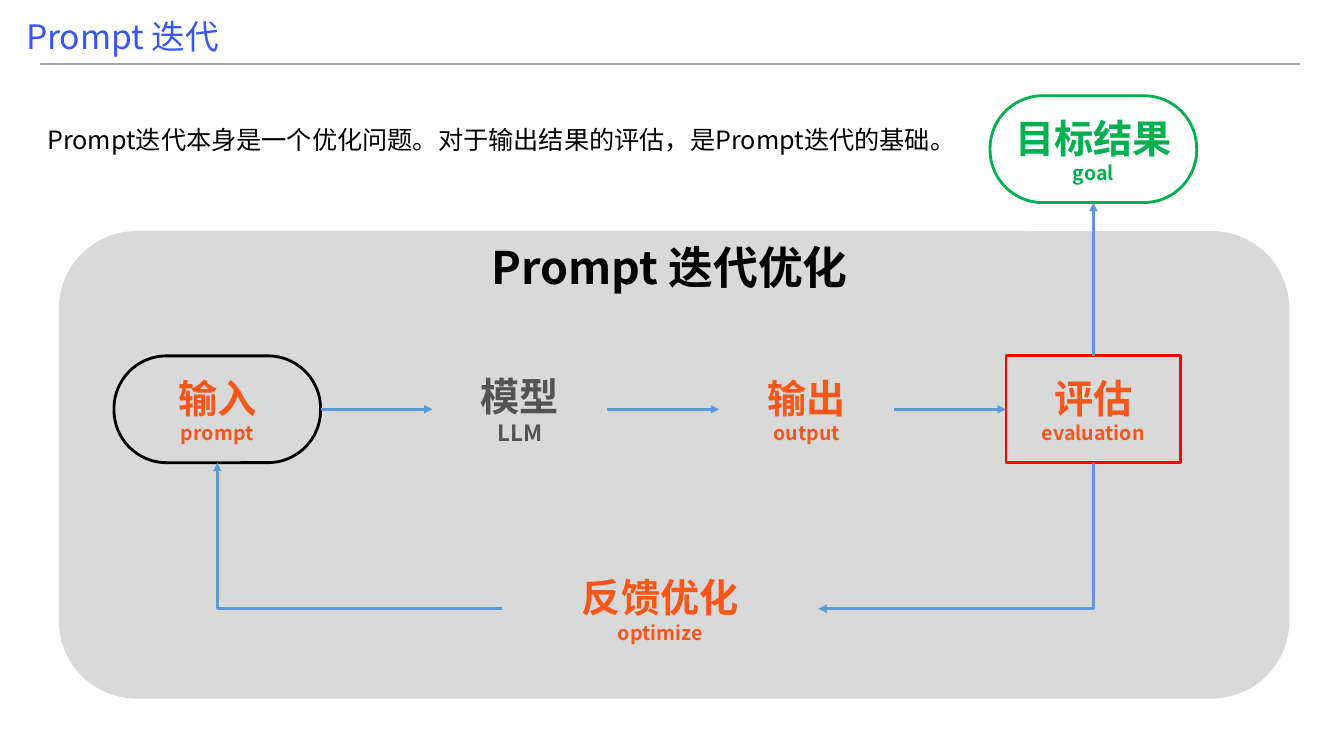
import pptx
import pptx.util
import pptx.dml.color
import pptx.enum.shapes
import pptx.enum.text
import pptx.oxml.ns
import lxml.etree

Pt = pptx.util.Pt
SHAPES = pptx.enum.shapes.MSO_SHAPE
CONNECTORS = pptx.enum.shapes.MSO_CONNECTOR
ALIGN = pptx.enum.text.PP_ALIGN
ANCHOR = pptx.enum.text.MSO_ANCHOR

THEME = {
    "font": "Noto Sans CJK SC",
    "title": "3856F5", "text": "000000", "accent": "F7571B", "model": "535353",
    "goal": "00B050", "alert": "FF0000", "arrow": "5B9BD5", "rule": "A6A6A6",
    "panel": "D9D9D9",
    "title_size": 24, "heading_size": 32, "body_size": 18,
    "label_size": 28, "caption_size": 14, "model_caption_size": 16,
    "rule_width": 1.5, "line_width": 2,
}

CAPTIONS = [
    ("Prompt 迭代", (11.5, 8, 650, 36), "title_size", "title", False),
    ("Prompt 迭代优化", (344, 167.8, 339, 46), "heading_size", "text", True),
    ("Prompt迭代本身是一个优化问题。对于输出结果的评估，是Prompt迭代的基础。",
     (26.6, 85, 870, 51), "body_size", "text", False),
]
STEPS = [
    ("输入", "prompt", "accent", "caption_size", 147.6, "pill", "text"),
    ("模型", "LLM", "model", "model_caption_size", 124.8, None, None),
    ("输出", "output", "accent", "caption_size", 124.8, None, None),
    ("评估", "evaluation", "accent", "caption_size", 124.8, "box", "alert"),
]
GOAL = ("目标结果", "goal", "goal", "caption_size", 147.6, "pill", "goal")
FEEDBACK = ("反馈优化", "optimize", "accent", "caption_size", 226, None, None)

SLIDE_SIZE = (960, 540)
RULE = (28.8, 45.6, 928.8, 45.6)
PANEL = (42, 165, 879, 334)
ROW_LEFT, ROW_TOP, STEP_GAP = 81.4, 254.2, 80
GOAL_TOP, FEEDBACK_LEFT, FEEDBACK_TOP = 68.4, 358.6, 396.7
STEP_HEIGHT = 76.3
PILL_ROUNDING = 0.493


def color(key):
    return pptx.dml.color.RGBColor.from_string(THEME[key])


def write(paragraph, wording, size, tone, bold):
    run = paragraph.add_run()
    run.text = wording
    style = {"name": THEME["font"], "size": Pt(THEME[size]), "bold": bold}
    for attribute, value in style.items():
        setattr(run.font, attribute, value)
    run.font.color.rgb = color(tone)
    east_asian = lxml.etree.SubElement(run.font._element, pptx.oxml.ns.qn("a:ea"))
    east_asian.set("typeface", THEME["font"])


def add_caption(slide, wording, frame, size, tone, bold):
    caption = slide.shapes.add_textbox(*map(Pt, frame))
    caption.text_frame.word_wrap = True
    write(caption.text_frame.paragraphs[0], wording, size, tone, bold)


def add_step(slide, step, left, top):
    label, caption, tone, caption_size, width, outline, edge = step
    frame = tuple(map(Pt, (left, top, width, STEP_HEIGHT)))
    if outline:
        preset = SHAPES.ROUNDED_RECTANGLE if outline == "pill" else SHAPES.RECTANGLE
        node = slide.shapes.add_shape(preset, *frame)
        node.shadow.inherit = False
        node.fill.background()
        node.line.color.rgb = color(edge)
        node.line.width = Pt(THEME["line_width"])
        if outline == "pill":
            node.adjustments[0] = PILL_ROUNDING
    else:
        node = slide.shapes.add_textbox(*frame)
    layout = {"word_wrap": True, "vertical_anchor": ANCHOR.MIDDLE}
    layout.update({f"margin_{side}": Pt(3.6) for side in ("left", "top", "right", "bottom")})
    for attribute, value in layout.items():
        setattr(node.text_frame, attribute, value)
    lines = [(label, "label_size"), (caption, caption_size)]
    for index, (wording, size) in enumerate(lines):
        paragraph = node.text_frame.add_paragraph() if index else node.text_frame.paragraphs[0]
        paragraph.alignment = ALIGN.CENTER
        write(paragraph, wording, size, tone, True)
    return node


def add_line(slide, kind, ends, tone, width, arrow):
    line = slide.shapes.add_connector(kind, *map(Pt, ends))
    line.line.color.rgb = color(tone)
    line.line.width = Pt(THEME[width])
    if arrow:
        outline = line.line._get_or_add_ln()
        lxml.etree.SubElement(outline, pptx.oxml.ns.qn("a:tailEnd")).set("type", "triangle")
    lxml.etree.SubElement(line._element.spPr, pptx.oxml.ns.qn("a:effectLst"))
    return line


def join(slide, source, source_side, target, target_side):
    arrow = add_line(slide, CONNECTORS.STRAIGHT, (0, 0, 0, 0), "arrow", "line_width", True)
    arrow.begin_connect(source, source_side)
    arrow.end_connect(target, target_side)


def add_bend(slide, start, end, turn):
    center_x, center_y = ((a + b) / 2 for a, b in zip(start, end))
    half_width, half_height = (abs(a - b) / 2 for a, b in zip(start, end))
    if turn == 90:
        half_width, half_height = half_height, half_width
    ends = (center_x - half_width, center_y - half_height,
            center_x + half_width, center_y + half_height)
    bend = add_line(slide, CONNECTORS.ELBOW, ends, "arrow", "line_width", True)
    properties = bend._element.spPr
    properties.find(pptx.oxml.ns.qn("a:prstGeom")).set("prst", "bentConnector2")
    properties.find(pptx.oxml.ns.qn("a:xfrm")).set("rot", str(turn * 60000))


def main():
    deck = pptx.Presentation()
    deck.slide_width, deck.slide_height = map(Pt, SLIDE_SIZE)
    slide = deck.slides.add_slide(deck.slide_layouts[6])

    add_line(slide, CONNECTORS.STRAIGHT, RULE, "rule", "rule_width", False)
    panel = slide.shapes.add_shape(SHAPES.ROUNDED_RECTANGLE, *map(Pt, PANEL))
    panel.shadow.inherit = False
    panel.fill.solid()
    panel.fill.fore_color.rgb = color("panel")
    panel.line.fill.background()

    nodes, centers, left = [], [], ROW_LEFT
    for step in STEPS:
        width = step[4]
        nodes.append(add_step(slide, step, left, ROW_TOP))
        centers.append(left + width / 2)
        left += width + STEP_GAP
    goal = add_step(slide, GOAL, centers[-1] - GOAL[4] / 2, GOAL_TOP)
    add_step(slide, FEEDBACK, FEEDBACK_LEFT, FEEDBACK_TOP)

    for source, target in zip(nodes, nodes[1:]):
        join(slide, source, 3, target, 1)
    join(slide, nodes[-1], 0, goal, 2)

    row_bottom = ROW_TOP + STEP_HEIGHT
    feedback_middle = FEEDBACK_TOP + STEP_HEIGHT / 2
    feedback_right = FEEDBACK_LEFT + FEEDBACK[4]
    add_bend(slide, (centers[-1], row_bottom), (feedback_right, feedback_middle), 90)
    add_bend(slide, (FEEDBACK_LEFT, feedback_middle), (centers[0], row_bottom), 180)

    for caption in CAPTIONS:
        add_caption(slide, *caption)
    deck.save("out.pptx")


if __name__ == "__main__":
    main()
